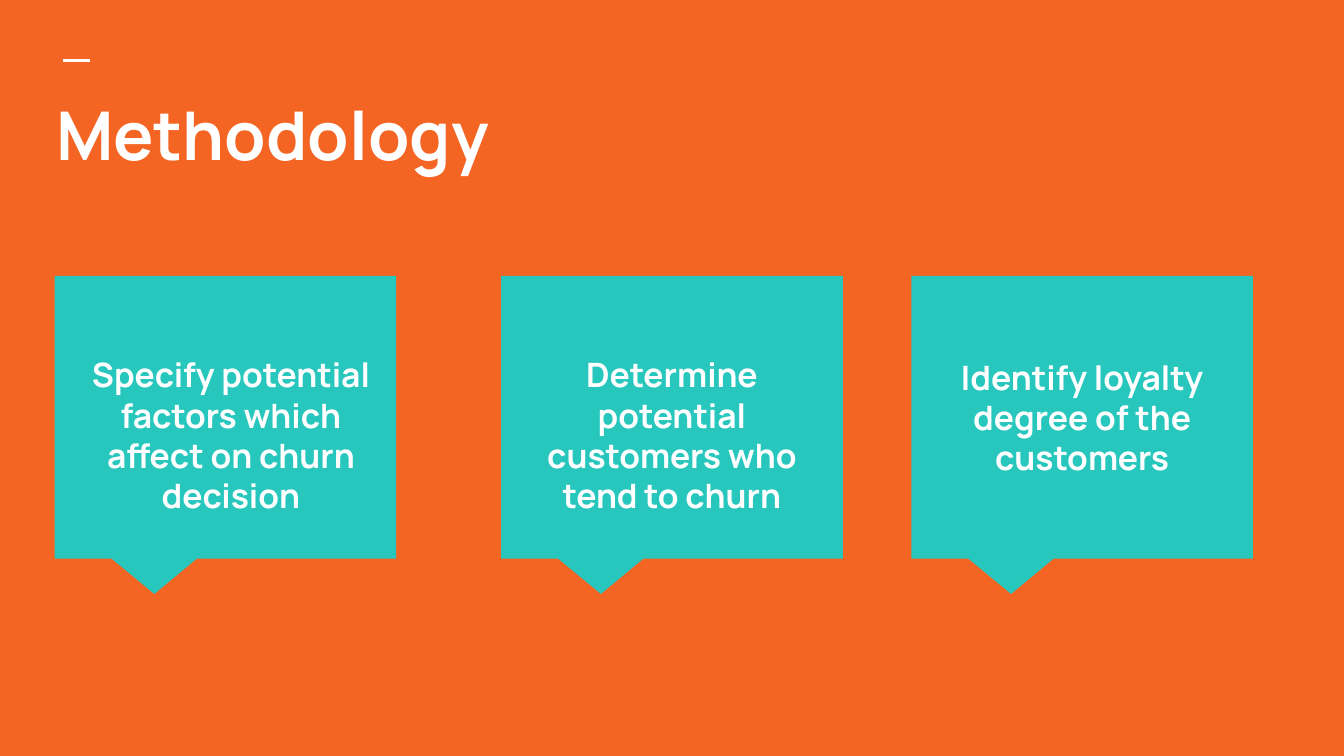
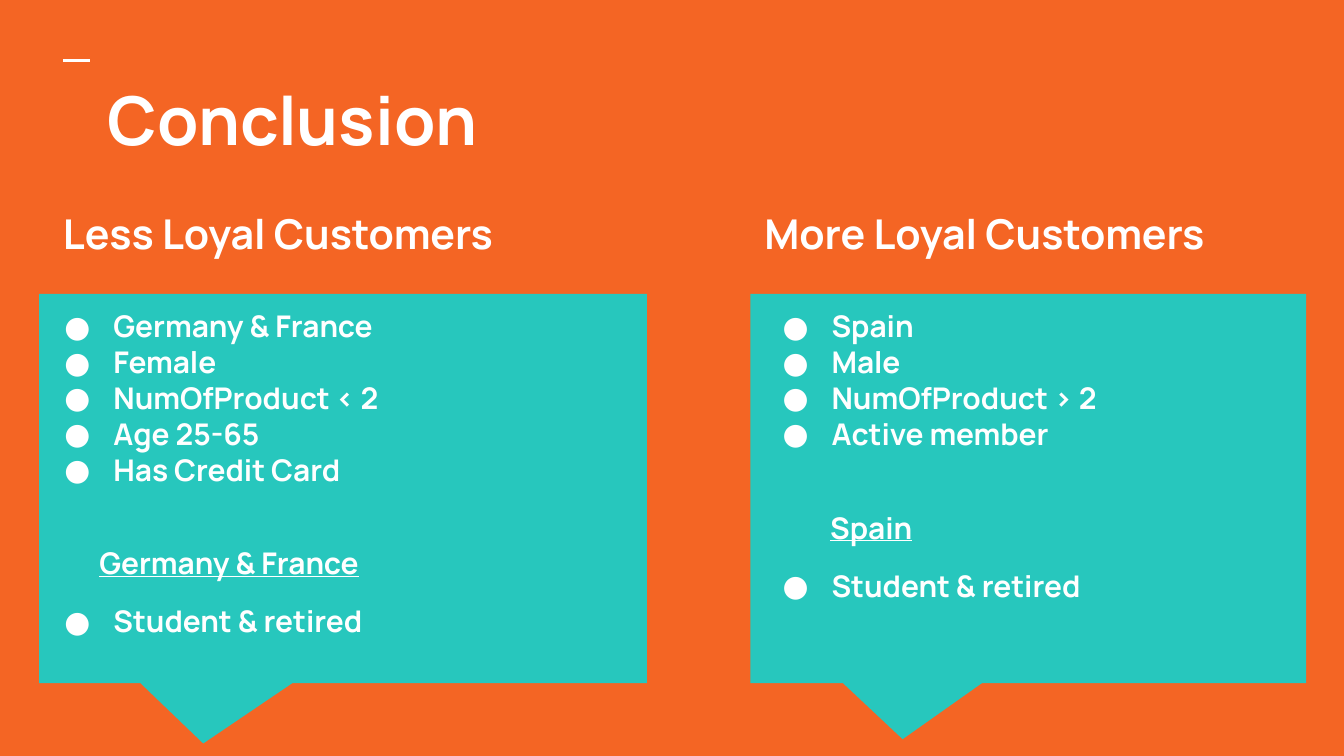
"""Build the methodology and conclusion slides of a churn study."""
from dataclasses import dataclass
from typing import NamedTuple

from lxml import etree
from pptx import Presentation
from pptx.dml.color import RGBColor
from pptx.enum.shapes import MSO_CONNECTOR, MSO_SHAPE
from pptx.enum.text import MSO_ANCHOR, PP_ALIGN
from pptx.oxml.ns import qn
from pptx.util import Emu, Pt

CALLOUT = MSO_SHAPE.RECTANGULAR_CALLOUT
STRAIGHT = MSO_CONNECTOR.STRAIGHT
TOP, MIDDLE = MSO_ANCHOR.TOP, MSO_ANCHOR.MIDDLE
LEFT, CENTER = PP_ALIGN.LEFT, PP_ALIGN.CENTER
SCALE = 9525
INSET = 10


@dataclass(frozen=True)
class Theme:
    """Colours, font and type sizes."""
    back: str = "F46524"
    card: str = "27C7BD"
    ink: str = "FFFFFF"
    font: str = "Manrope"
    title: int = 36
    head: int = 22
    body: int = 18
    item: int = 16
    rule: float = 1.5


class Box(NamedTuple):
    """Place and size in px."""
    left: int
    top: int
    width: int
    height: int


class Line(NamedTuple):
    """One paragraph with its layout."""
    text: str
    size: int
    align: PP_ALIGN = LEFT
    before: int = 0
    indent: int = 0
    hang: int = 0
    under: bool = False


class Panel(NamedTuple):
    """One customer group on the conclusion slide."""
    head: str
    title: Box
    card: Box
    tip: tuple[float, float]
    list: Box
    traits: tuple[str, ...]
    place: str
    indent: int


THEME = Theme()
CARD_TIP = (-0.208, 0.625)
CARDS = (Box(39, 197, 244, 202), Box(358, 197, 244, 202), Box(651, 197, 244, 202))
STEPS = (
    (Box(47, 197, 236, 202), "Specify potential factors which affect on churn decision"),
    (Box(362, 197, 236, 214), "Determine potential customers who tend to churn"),
)
PANELS = (
    Panel("Less Loyal Customers", Box(35, 139, 428, 45), Box(28, 210, 434, 278),
          (-0.23, 0.655), Box(23, 210, 451, 309),
          ("Germany & France", "Female", "NumOfProduct < 2", "Age 25-65", "Has Credit Card"),
          "Germany & France", 38),
    Panel("More Loyal Customers", Box(536, 139, 376, 67), Box(536, 210, 397, 278),
          (-0.226, 0.644), Box(536, 210, 414, 278),
          ("Spain", "Male", "NumOfProduct > 2", "Active member"),
          "Spain", 47),
)


def px(size: int) -> Emu:
    """Turn px into EMU."""
    return Emu(size * SCALE)


def rgb(code: str) -> RGBColor:
    """Turn a hex code into a colour."""
    return RGBColor.from_string(code)


def add_bullet(para) -> None:
    """Give a paragraph a round bullet."""
    props = para._p.get_or_add_pPr()
    tint = etree.SubElement(props, qn("a:buClr"))
    etree.SubElement(tint, qn("a:srgbClr"), val=THEME.ink)
    etree.SubElement(props, qn("a:buFont"), typeface=THEME.font)
    etree.SubElement(props, qn("a:buChar"), char="●")


def fill_text(shape, lines: list[Line], anchor: MSO_ANCHOR = TOP, top: int = INSET) -> None:
    """Write lines into a shape."""
    frame = shape.text_frame
    frame.word_wrap = True
    frame.vertical_anchor = anchor
    frame.margin_left = frame.margin_right = frame.margin_bottom = px(INSET)
    frame.margin_top = px(top)
    for num, line in enumerate(lines):
        para = frame.add_paragraph() if num else frame.paragraphs[0]
        para.text = line.text
        para.alignment = line.align
        para.space_before = Pt(line.before)
        props = para._p.get_or_add_pPr()
        props.set("marL", str(px(line.indent)))
        props.set("indent", str(px(-line.hang)))
        if line.hang:
            add_bullet(para)
        font = para.font
        font.name, font.size, font.bold = THEME.font, Pt(line.size), True
        font.underline = line.under
        font.color.rgb = rgb(THEME.ink)


def add_text(slide, box: Box, lines: list[Line], top: int = INSET) -> None:
    """Add a text box."""
    fill_text(slide.shapes.add_textbox(*map(px, box)), lines, top=top)


def add_card(slide, box: Box, tip: tuple[float, float]):
    """Add a plain callout whose tip is a share of its size."""
    card = slide.shapes.add_shape(CALLOUT, *map(px, box))
    card.shadow.inherit = False
    card.fill.solid()
    card.fill.fore_color.rgb = rgb(THEME.card)
    card.line.fill.background()
    card.adjustments[0], card.adjustments[1] = tip
    return card


def add_slide(deck, title: str, box: Box):
    """Add a slide with its ground, short rule and title."""
    slide = deck.slides.add_slide(deck.slide_layouts[6])
    slide.background.fill.solid()
    slide.background.fill.fore_color.rgb = rgb(THEME.back)
    rule = slide.shapes.add_connector(STRAIGHT, px(45), px(43), px(64), px(43))
    rule.line.color.rgb = rgb(THEME.ink)
    rule.line.width = Pt(THEME.rule)
    etree.SubElement(rule._element.spPr, qn("a:effectLst"))
    add_text(slide, box, [Line(title, THEME.title)])
    return slide


def add_method(deck) -> None:
    """Add the slide of three steps."""
    slide = add_slide(deck, "Methodology", Box(30, 57, 372, 88))
    cards = [add_card(slide, box, CARD_TIP) for box in CARDS]
    for box, text in STEPS:
        add_text(slide, box, [Line(text, THEME.body, CENTER)], top=56)
    last = Line("Identify loyalty degree of the customers", THEME.body, CENTER)
    fill_text(cards[-1], [last], MIDDLE)


def add_end(deck) -> None:
    """Add the slide of two customer groups."""
    slide = add_slide(deck, "Conclusion", Box(67, 46, 339, 67))
    for panel in PANELS:
        add_text(slide, panel.title, [Line(panel.head, THEME.head)])
        add_card(slide, panel.card, panel.tip)
        lines = [Line(text, THEME.item, indent=48, hang=35) for text in panel.traits]
        lines += [
            Line(panel.place, THEME.item, before=31, indent=panel.indent, under=True),
            Line("Student & retired", THEME.item, before=12, indent=48, hang=35),
        ]
        add_text(slide, panel.list, lines)


def main() -> None:
    """Build and save the deck."""
    deck = Presentation()
    deck.slide_width, deck.slide_height = px(960), px(540)
    add_method(deck)
    add_end(deck)
    deck.save("out.pptx")


if __name__ == "__main__":
    main()
